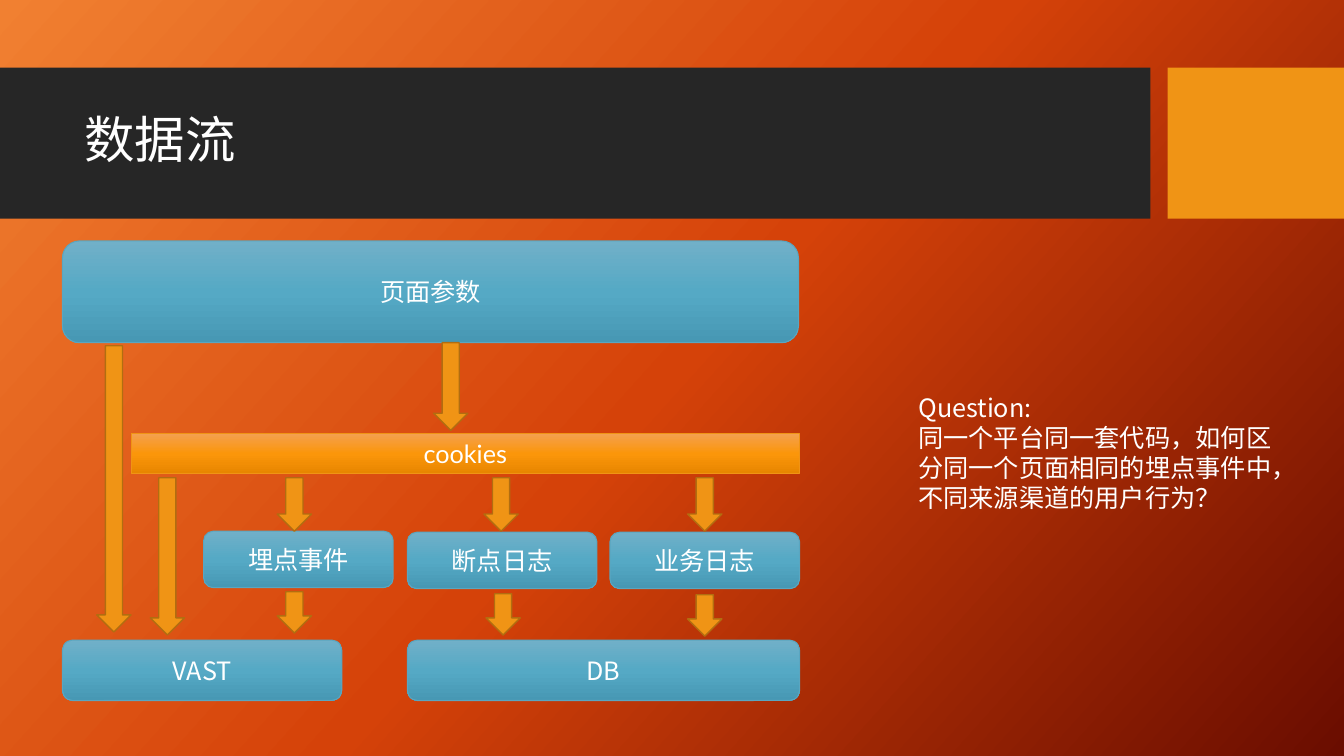
from lxml.etree import SubElement
from pptx import Presentation
from pptx.dml.color import RGBColor
from pptx.enum.shapes import MSO_SHAPE as SHAPE
from pptx.enum.text import MSO_ANCHOR as ANCHOR, MSO_AUTO_SIZE as AUTO, PP_ALIGN as ALIGN
from pptx.oxml.ns import qn
from pptx.util import Inches, Pt

WHITE = RGBColor(0xFF, 0xFF, 0xFF)
DARK = RGBColor(0x26, 0x26, 0x26)
ORANGE = RGBColor(0xF0, 0x94, 0x15)
BROWN = RGBColor(0xB2, 0x6D, 0x10)
BLUE_LINE = RGBColor(0x5A, 0xA6, 0xC0)
BACKGROUND = ("F18031", "D54209", "6A0D00")
BLUE = ("71B0C8", "55A9C5", "4798B4")
AMBER = ("F4A050", "FB960A", "E88600")
SANS = "Noto Sans CJK SC"
LATO = "Lato"


def write(tf, text, size=18, font=SANS, color=WHITE, align=ALIGN.LEFT,
          anchor=ANCHOR.MIDDLE, spacing=None, grow=False):
    """Fill a text frame, one paragraph per line of text."""
    tf.word_wrap = True
    tf.vertical_anchor = anchor
    tf.auto_size = AUTO.SHAPE_TO_FIT_TEXT if grow else AUTO.NONE
    for i, line in enumerate(text.split("\n")):
        p = tf.add_paragraph() if i else tf.paragraphs[0]
        p.alignment = align
        p.line_spacing = spacing
        r = p.add_run()
        r.text = line
        r.font.size = Pt(size)
        r.font.name = font
        r.font.color.rgb = color
        SubElement(r._r.get_or_add_rPr(), qn("a:ea"), typeface=font)


def shade(fill, element, colors, angle):
    """Give a fill evenly spaced gradient stops, with a clockwise angle."""
    fill.gradient()
    fill.gradient_angle = 360 - angle
    stops = next(element.iter(qn("a:gsLst")))
    for stop in list(stops):
        stops.remove(stop)
    for i, color in enumerate(colors):
        stop = SubElement(stops, qn("a:gs"), pos=str(100000 * i // (len(colors) - 1)))
        SubElement(stop, qn("a:srgbClr"), val=color)


class FlowSlide:
    def __init__(self, prs):
        self.s = prs.slides.add_slide(prs.slide_layouts[6])
        shade(self.s.background.fill, self.s.element, BACKGROUND, 42)

    def shape(self, kind, box, fill, line=None, weight=1):
        sp = self.s.shapes.add_shape(kind, *map(Inches, box))
        sp.shadow.inherit = False
        if isinstance(fill, tuple) and not isinstance(fill, RGBColor):
            shade(sp.fill, sp.element, fill, 90)
        else:
            sp.fill.solid()
            sp.fill.fore_color.rgb = fill
        if line is None:
            sp.line.fill.background()
        else:
            sp.line.color.rgb = line
            sp.line.width = Pt(weight)
        return sp

    def node(self, text, *box):
        sp = self.shape(SHAPE.ROUNDED_RECTANGLE, box, BLUE, BLUE_LINE, 0.75)
        write(sp.text_frame, text, align=ALIGN.CENTER)

    def bar(self, text, *box):
        sp = self.shape(SHAPE.RECTANGLE, box, AMBER, ORANGE, 0.75)
        write(sp.text_frame, text, font=LATO, align=ALIGN.CENTER,
              anchor=ANCHOR.TOP, grow=True)

    def arrow(self, left, top, height):
        self.shape(SHAPE.DOWN_ARROW, (left, top, 0.34, height), ORANGE, BROWN)

    def text(self, text, *box, **style):
        sp = self.s.shapes.add_textbox(*map(Inches, box))
        write(sp.text_frame, text, **style)


def main():
    prs = Presentation()
    prs.slide_width, prs.slide_height = Inches(13.33), Inches(7.5)
    flow = FlowSlide(prs)

    # Title band
    flow.shape(SHAPE.RECTANGLE, (0, 0.67, 11.41, 1.5), DARK)
    flow.shape(SHAPE.RECTANGLE, (11.58, 0.67, 1.75, 1.5), ORANGE)
    flow.text("数据流", 0.74, 0.82, 10.51, 1.18, size=36, spacing=0.9)

    # Source parameters and cookies
    flow.node("页面参数", 0.62, 2.39, 7.3, 1.01)
    flow.bar("cookies", 1.3, 4.3, 6.63, 0.4)

    # Events and logs
    for text, left, top in (("埋点事件", 2.02, 5.27), ("断点日志", 4.04, 5.28),
                            ("业务日志", 6.05, 5.28)):
        flow.node(text, left, top, 1.88, 0.56)

    # Destinations
    flow.node("VAST", 0.62, 6.35, 2.77, 0.6)
    flow.node("DB", 4.04, 6.35, 3.89, 0.6)

    # Arrows from the parameters, and from cookies straight to VAST
    flow.arrow(0.96, 3.43, 2.84)
    flow.arrow(4.3, 3.4, 0.87)
    flow.arrow(1.49, 4.74, 1.56)

    # Arrows into and out of each event or log
    for left_in, left_out, top_out in ((2.75, 2.75, 5.87), (4.8, 4.82, 5.89),
                                       (6.82, 6.82, 5.9)):
        flow.arrow(left_in, 4.74, 0.53)
        flow.arrow(left_out, top_out, 0.41)

    # Question
    flow.text("Question:\n同一个平台同一套代码，如何区分同一个页面相同的埋点事件中，"
              "不同来源渠道的用户行为？",
              9.01, 3.84, 3.82, 1.31, anchor=ANCHOR.TOP, grow=True)

    prs.save("out.pptx")


if __name__ == "__main__":
    main()
